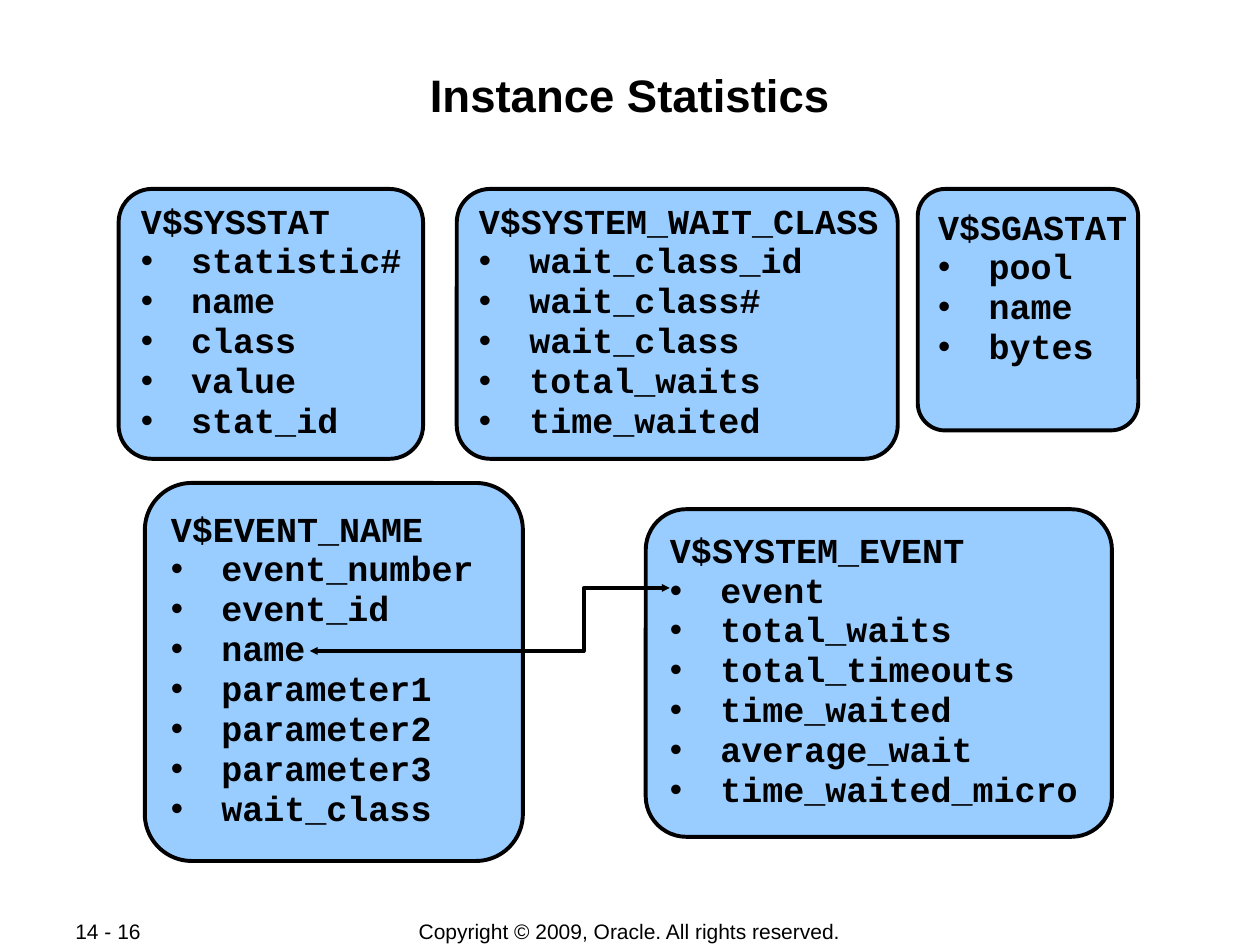
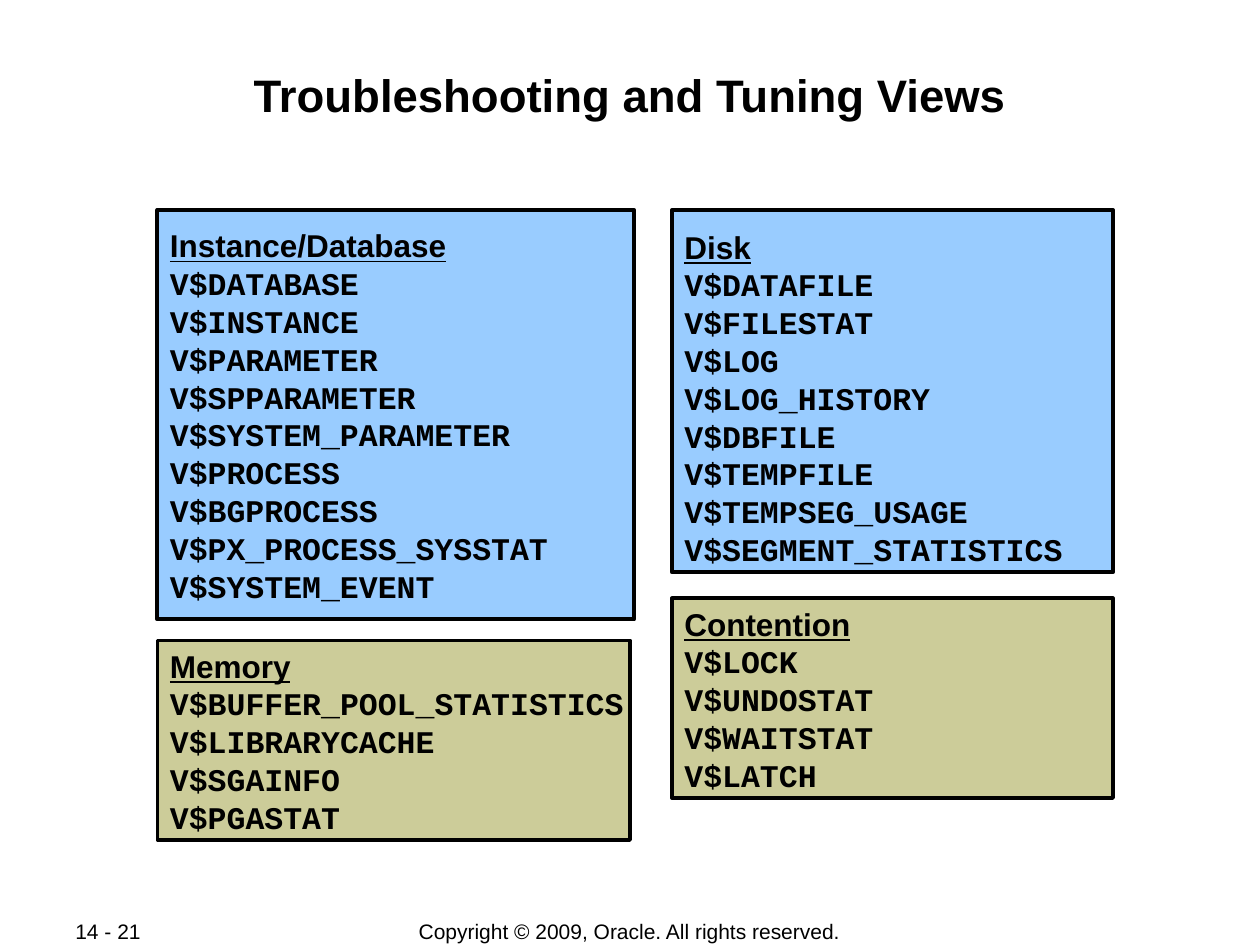
from dataclasses import dataclass
from typing import NamedTuple

from lxml.etree import SubElement
from pptx import Presentation
from pptx.dml.color import RGBColor as Rgb
from pptx.enum.shapes import MSO_SHAPE as Shape
from pptx.enum.text import MSO_ANCHOR as Anchor, PP_ALIGN as Align
from pptx.oxml.ns import qn
from pptx.util import Inches, Pt

COLS, ROWS = 120, 90
WIDTH, HEIGHT = Inches(10), Inches(7.5)


@dataclass(frozen=True)
class Theme:
    ink: Rgb = Rgb(0x00, 0x00, 0x00)
    blue: Rgb = Rgb(0x99, 0xCC, 0xFF)
    olive: Rgb = Rgb(0xCC, 0xCC, 0x99)
    sans: str = "Arial"
    mono: str = "Courier New"
    title: int = 26
    view: int = 20
    panel: int = 18
    footer: int = 12
    line: float = 2.25
    corner: float = 0.124
    bullet_indent: float = 0.4


THEME = Theme()


class Box(NamedTuple):
    col: float
    row: float
    cols: float
    rows: float


class Insets(NamedTuple):
    left: float = 0.1
    top: float = 0.05
    right: float = 0
    bottom: float = 0.05


class View(NamedTuple):
    box: Box
    name: str
    columns: str
    insets: Insets = Insets()


class Panel(NamedTuple):
    box: Box
    fill: Rgb
    heading: str
    views: str
    top: float = 0.05


TITLE_BOX = Box(8, 5.75, 104, 11.5)
COPYRIGHT_BOX = Box(33, 87.4, 53.9, 2.5)
PAGE_BOX = Box(6, 87.4, 12.7, 2.5)
COPYRIGHT = "Copyright © 2009, Oracle. All rights reserved."

STAT_VIEWS = [
    View(Box(87.4, 18, 21, 23), "V$SGASTAT", "pool name bytes", Insets(bottom=0.37)),
    View(Box(11.3, 18, 29, 25.7), "V$SYSSTAT", "statistic# name class value stat_id"),
    View(Box(43.5, 18, 42, 25.7), "V$SYSTEM_WAIT_CLASS",
         "wait_class_id wait_class# wait_class total_waits time_waited"),
    View(Box(13.8, 46, 36, 36), "V$EVENT_NAME",
         "event_number event_id name parameter1 parameter2 parameter3 wait_class"),
    View(Box(61.5, 48.5, 44.4, 31.2), "V$SYSTEM_EVENT",
         "event total_waits total_timeouts time_waited average_wait time_waited_micro"),
]
NAME_TO_EVENT = [(29.5, 62), (55.6, 62), (55.6, 56), (63.8, 56)]

TUNING_PANELS = [
    Panel(Box(15, 20, 45.4, 39), THEME.blue, "Instance/Database",
          "V$DATABASE V$INSTANCE V$PARAMETER V$SPPARAMETER V$SYSTEM_PARAMETER "
          "V$PROCESS V$BGPROCESS V$PX_PROCESS_SYSSTAT V$SYSTEM_EVENT", 0.13),
    Panel(Box(64, 20, 42, 34.5), THEME.blue, "Disk",
          "V$DATAFILE V$FILESTAT V$LOG V$LOG_HISTORY V$DBFILE V$TEMPFILE "
          "V$TEMPSEG_USAGE V$SEGMENT_STATISTICS", 0.14),
    Panel(Box(64, 57, 42, 19), THEME.olive, "Contention",
          "V$LOCK V$UNDOSTAT V$WAITSTAT V$LATCH"),
    Panel(Box(15, 61, 45, 19), THEME.olive, "Memory",
          "V$BUFFER_POOL_STATISTICS V$LIBRARYCACHE V$SGAINFO V$PGASTAT"),
]


def x(cols: float) -> int:
    return round(WIDTH * cols / COLS)


def y(rows: float) -> int:
    return round(HEIGHT * rows / ROWS)


def place(box: Box) -> tuple[int, int, int, int]:
    return x(box.col), y(box.row), x(box.cols), y(box.rows)


def set_frame(tf, anchor, insets: Insets) -> None:
    tf.word_wrap = True
    tf.vertical_anchor = anchor
    tf.margin_left, tf.margin_top, tf.margin_right, tf.margin_bottom = map(Inches, insets)


def add_run(p, text: str, size: int, font: str, bold=True, underline=False) -> None:
    r = p.add_run()
    r.text = text
    r.font.size = Pt(size)
    r.font.name = font
    r.font.bold = bold
    r.font.underline = underline
    r.font.color.rgb = THEME.ink


def add_bullet(p) -> None:
    pPr = p._p.get_or_add_pPr()
    indent = Inches(THEME.bullet_indent)
    pPr.set("marL", str(indent))
    pPr.set("indent", str(-indent))
    color = SubElement(pPr, qn("a:buClr"))
    SubElement(color, qn("a:srgbClr"), val=str(THEME.ink))
    SubElement(pPr, qn("a:buFont"), typeface=THEME.sans)
    SubElement(pPr, qn("a:buChar"), char="•")


def outline(sp) -> None:
    sp.shadow.inherit = False
    sp.line.color.rgb = THEME.ink
    sp.line.width = Pt(THEME.line)


def add_block(s, kind, box: Box, fill: Rgb):
    sp = s.shapes.add_shape(kind, *place(box))
    outline(sp)
    sp.fill.solid()
    sp.fill.fore_color.rgb = fill
    return sp


def add_view(s, view: View) -> None:
    sp = add_block(s, Shape.ROUNDED_RECTANGLE, view.box, THEME.blue)
    sp.adjustments[0] = THEME.corner
    tf = sp.text_frame
    set_frame(tf, Anchor.MIDDLE, view.insets)
    p = tf.paragraphs[0]
    p.alignment = Align.LEFT
    p.line_spacing = 0.85
    add_run(p, view.name, THEME.view, THEME.mono)
    for column in view.columns.split():
        p = tf.add_paragraph()
        p.alignment = Align.LEFT
        p.line_spacing = 0.95
        add_bullet(p)
        add_run(p, column, THEME.view, THEME.mono)


def add_panel(s, panel: Panel) -> None:
    sp = add_block(s, Shape.RECTANGLE, panel.box, panel.fill)
    tf = sp.text_frame
    set_frame(tf, Anchor.TOP, Insets(top=panel.top))
    p = tf.paragraphs[0]
    p.alignment = Align.LEFT
    add_run(p, panel.heading, THEME.panel, THEME.sans, underline=True)
    for name in panel.views.split():
        p = tf.add_paragraph()
        p.alignment = Align.LEFT
        add_run(p, name, THEME.panel, THEME.mono)


def add_arrow(s, points: list[tuple[float, float]]) -> None:
    start, *rest = [(x(col), y(row)) for col, row in points]
    builder = s.shapes.build_freeform(*start)
    builder.add_line_segments(rest, close=False)
    sp = builder.convert_to_shape()
    outline(sp)
    sp.fill.background()
    for end in ("a:headEnd", "a:tailEnd"):
        SubElement(sp.line._get_or_add_ln(), qn(end), type="triangle", w="sm", len="sm")


def add_footer(s, box: Box, text: str, align) -> None:
    tf = s.shapes.add_textbox(*place(box)).text_frame
    set_frame(tf, Anchor.MIDDLE, Insets(0.1, 0, 0.1, 0))
    p = tf.paragraphs[0]
    p.alignment = align
    add_run(p, text, THEME.footer, THEME.sans, bold=False)


def add_slide(prs, title: str, page: str):
    s = prs.slides.add_slide(prs.slide_layouts[5])
    sp = s.shapes.title
    sp.left, sp.top, sp.width, sp.height = place(TITLE_BOX)
    set_frame(sp.text_frame, Anchor.TOP, Insets(0.01, 0.05, 0.01, 0.01))
    p = sp.text_frame.paragraphs[0]
    p.alignment = Align.CENTER
    add_run(p, title, THEME.title, THEME.sans)
    add_footer(s, COPYRIGHT_BOX, COPYRIGHT, Align.CENTER)
    add_footer(s, PAGE_BOX, page, Align.LEFT)
    return s


def main() -> None:
    prs = Presentation()
    prs.slide_width, prs.slide_height = WIDTH, HEIGHT

    s = add_slide(prs, "Instance Statistics", "14 - 16")
    for view in STAT_VIEWS:
        add_view(s, view)
    add_arrow(s, NAME_TO_EVENT)

    s = add_slide(prs, "Troubleshooting and Tuning Views", "14 - 21")
    for panel in TUNING_PANELS:
        add_panel(s, panel)

    prs.save("out.pptx")


if __name__ == "__main__":
    main()
